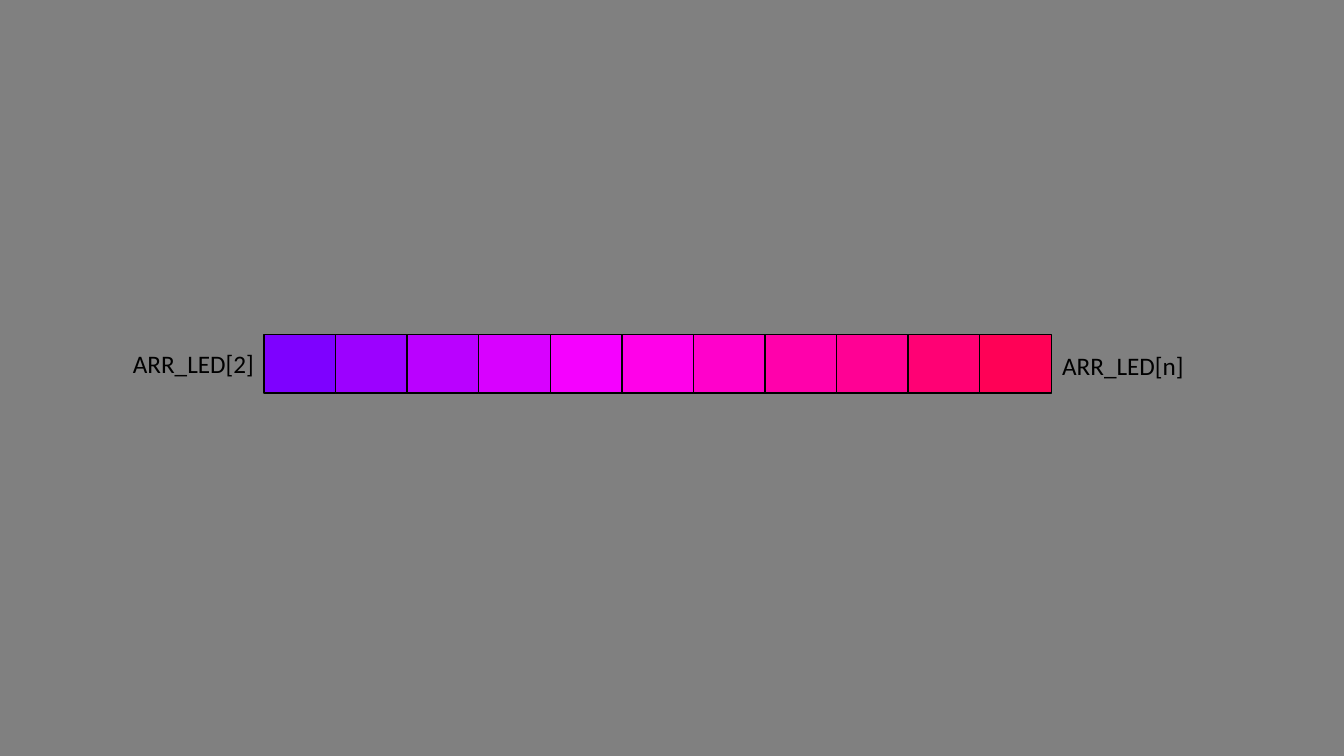
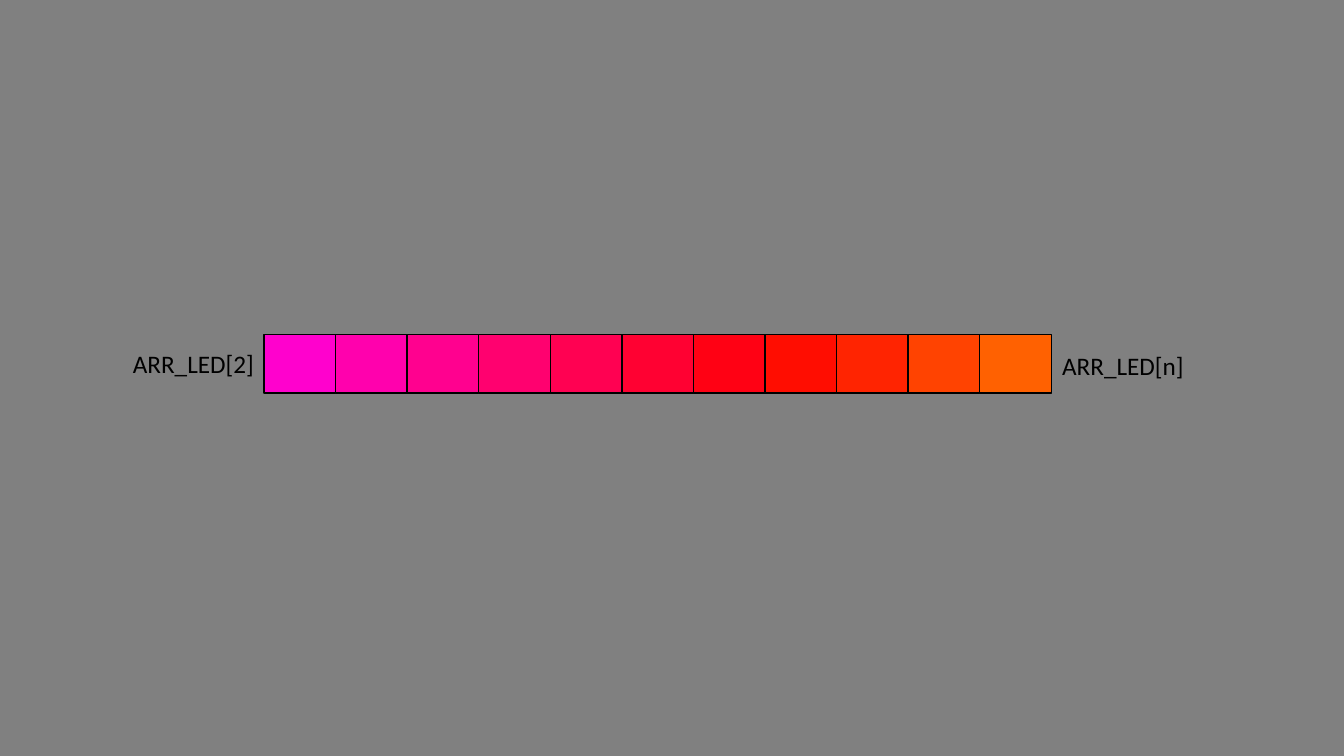
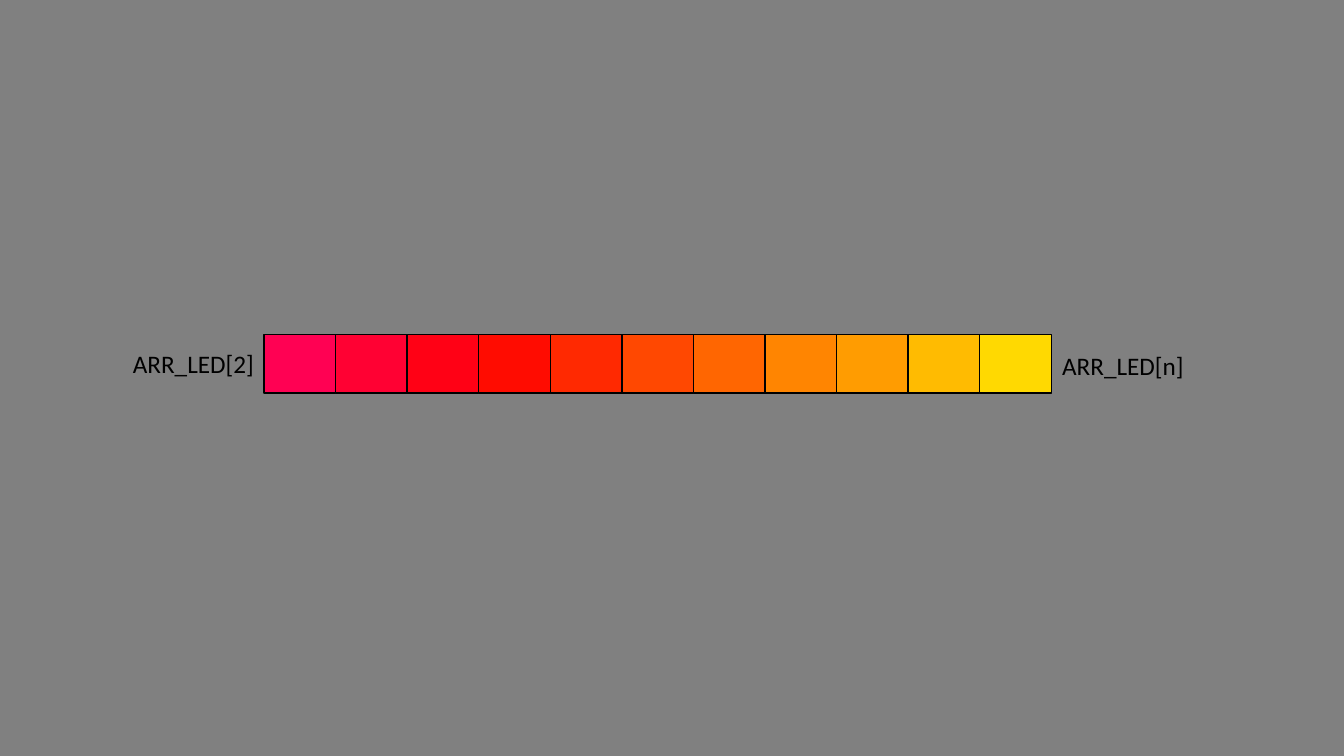
from pptx import Presentation
from pptx.dml.color import RGBColor
from pptx.enum.shapes import MSO_SHAPE
from pptx.enum.text import MSO_AUTO_SIZE
from pptx.util import Pt

COLOURS = {"background": "808080", "ink": "000000"}
LED_COLOURS = {
    "violet to rose": "7E01FF 9C01FF BA01FF D801FF F501FF FF01E9 FF01CB FF01AB FF0194 FF0174 FF0156",
    "magenta to orange": "FF01CD FF01AD FF018F FF016F FF0152 FF0132 FF0114 FF0D01 FF2401 FF4301 FF6101",
    "rose to yellow": "FF0153 FF0133 FF0115 FF0C01 FF2901 FF4801 FF6601 FF8501 FF9C01 FFBB01 FFD901",
}
FONT = "Calibri"
STRIP_BOX = (188.6, 239, 562.3, 41.8)
LABEL_WIDTH, LABEL_HEIGHT = 102.2, 29.1


def add_led(slide, left, top, width, height, colour):
    led = slide.shapes.add_shape(MSO_SHAPE.RECTANGLE, Pt(left), Pt(top), Pt(width), Pt(height))
    led.shadow.inherit = False
    led.fill.solid()
    led.fill.fore_color.rgb = RGBColor.from_string(colour)
    led.line.color.rgb = RGBColor.from_string(COLOURS["ink"])
    led.line.width = Pt(1)


def add_label(slide, left, top, text):
    label = slide.shapes.add_textbox(Pt(left), Pt(top), Pt(LABEL_WIDTH), Pt(LABEL_HEIGHT))
    frame = label.text_frame
    frame.word_wrap = False
    frame.auto_size = MSO_AUTO_SIZE.SHAPE_TO_FIT_TEXT
    run = frame.paragraphs[0].add_run()
    run.text = text
    run.font.name = FONT
    run.font.size = Pt(18)
    run.font.color.rgb = RGBColor.from_string(COLOURS["ink"])


def add_led_strip(slide, box, colours):
    left, top, width, height = box
    led_width = width / len(colours)
    for index, colour in enumerate(colours):
        add_led(slide, left + index * led_width, top, led_width, height, colour)
    add_label(slide, left - LABEL_WIDTH + 1.4, top + 6.5, "ARR_LED[2]")
    add_label(slide, left + width + 0.7, top + 7.4, "ARR_LED[n]")


def add_strip_slide(presentation, colours):
    slide = presentation.slides.add_slide(presentation.slide_layouts[6])
    slide.background.fill.solid()
    slide.background.fill.fore_color.rgb = RGBColor.from_string(COLOURS["background"])
    add_led_strip(slide, STRIP_BOX, colours)


def main():
    presentation = Presentation()
    presentation.slide_width = Pt(960)
    presentation.slide_height = Pt(540)
    for colours in LED_COLOURS.values():
        add_strip_slide(presentation, colours.split())
    presentation.save("out.pptx")


if __name__ == "__main__":
    main()
